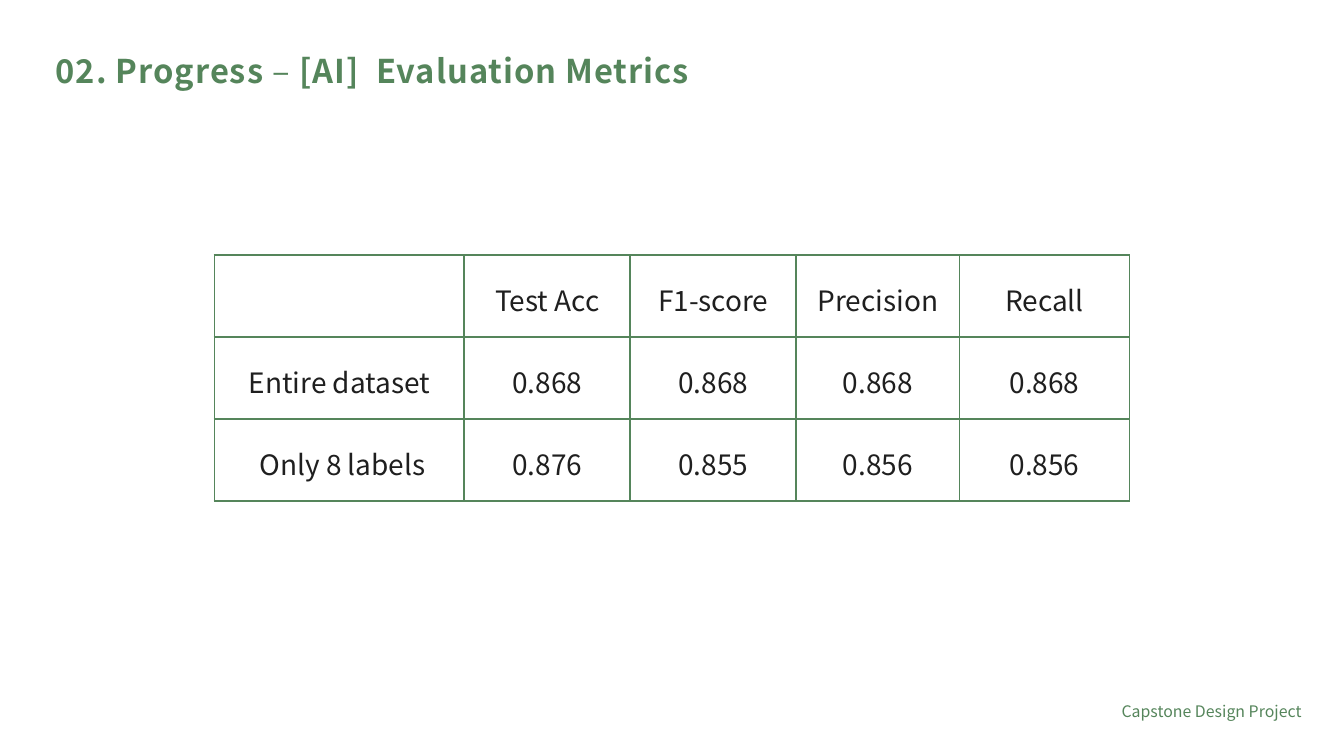
from dataclasses import dataclass

from lxml.etree import SubElement
from pptx import Presentation
from pptx.dml.color import RGBColor
from pptx.enum.text import MSO_ANCHOR, MSO_AUTO_SIZE, PP_ALIGN
from pptx.oxml import parse_xml
from pptx.oxml.ns import nsdecls, qn
from pptx.util import Inches, Pt

FONT = "Noto Sans CJK KR"
COLORS = {"green": "55855B", "ink": "1F1F1F"}
COL_WIDTHS = (3.72, 2.47, 2.47, 2.43, 2.53)
ROW_HEIGHT = 1.22
BORDER_PT = 2.13


@dataclass
class MetricRow:
    label: str
    values: tuple[str, ...]


ROWS = (
    MetricRow("", ("Test Acc", "F1-score", "Precision", "Recall")),
    MetricRow("Entire dataset", ("0.868", "0.868", "0.868", "0.868")),
    MetricRow(" Only 8 labels", ("0.876", "0.855", "0.856", "0.856")),
)


def add_run(p, text: str, size: float, color: str, bold: bool = False):
    r = p.add_run()
    r.text = text
    r.font.name = FONT
    r.font.size = Pt(size)
    r.font.bold = bold
    r.font.color.rgb = RGBColor.from_string(COLORS[color])
    return r


def set_frame(tf, anchor: MSO_ANCHOR) -> None:
    tf.margin_left = tf.margin_right = tf.margin_top = tf.margin_bottom = 0
    tf.word_wrap = True
    tf.auto_size = MSO_AUTO_SIZE.NONE
    tf.vertical_anchor = anchor


def set_borders(cell) -> None:
    tcPr = cell._tc.get_or_add_tcPr()
    for i, side in enumerate(("lnL", "lnR", "lnT", "lnB")):
        ln = parse_xml(f'<a:{side} {nsdecls("a")} w="{Pt(BORDER_PT)}"/>')
        fill = SubElement(ln, qn("a:solidFill"))
        SubElement(fill, qn("a:srgbClr"), val=COLORS["green"])
        tcPr.insert(i, ln)


def fill_cell(cell, text: str) -> None:
    cell.fill.background()
    set_borders(cell)
    cell.margin_left = cell.margin_right = Inches(0.02)
    cell.margin_top = cell.margin_bottom = Inches(0.02)
    cell.vertical_anchor = MSO_ANCHOR.MIDDLE
    if text:
        p = cell.text_frame.paragraphs[0]
        p.alignment = PP_ALIGN.CENTER
        p.line_spacing = 1.16
        add_run(p, text, 30, "ink")


def add_title(s) -> None:
    sp = s.shapes.title
    sp.left, sp.top = Inches(0.83), Inches(0.72)
    sp.width, sp.height = Inches(9.9), Inches(0.67)
    set_frame(sp.text_frame, MSO_ANCHOR.MIDDLE)
    p = sp.text_frame.paragraphs[0]
    p.alignment = PP_ALIGN.LEFT
    p.line_spacing = 1.0
    for text, bold in (
        ("02. Progress ", True),
        ("– ", False),
        ("[AI]  Evaluation Metrics", True),
    ):
        r = add_run(p, text, 35, "green", bold)
        r._r.get_or_add_rPr().set("spc", "100")


def add_metrics(s) -> None:
    table = s.shapes.add_table(
        len(ROWS), len(COL_WIDTHS), Inches(3.19), Inches(3.8),
        Inches(sum(COL_WIDTHS)), Inches(ROW_HEIGHT * len(ROWS)),
    ).table
    table.first_row = table.horz_banding = False
    for col, width in zip(table.columns, COL_WIDTHS):
        col.width = Inches(width)
    for row, metric in zip(table.rows, ROWS):
        row.height = Inches(ROW_HEIGHT)
        for cell, text in zip(row.cells, (metric.label, *metric.values)):
            fill_cell(cell, text)


def add_footer(s) -> None:
    sp = s.shapes.add_textbox(Inches(15.29), Inches(10.44), Inches(4.08), Inches(0.33))
    set_frame(sp.text_frame, MSO_ANCHOR.TOP)
    p = sp.text_frame.paragraphs[0]
    p.alignment = PP_ALIGN.RIGHT
    p.line_spacing = 1.0
    add_run(p, "Capstone Design Project", 17, "green")


def main() -> None:
    prs = Presentation()
    prs.slide_width, prs.slide_height = Inches(20), Inches(11.25)
    s = prs.slides.add_slide(prs.slide_layouts[5])
    add_title(s)
    add_metrics(s)
    add_footer(s)
    prs.save("out.pptx")


if __name__ == "__main__":
    main()
